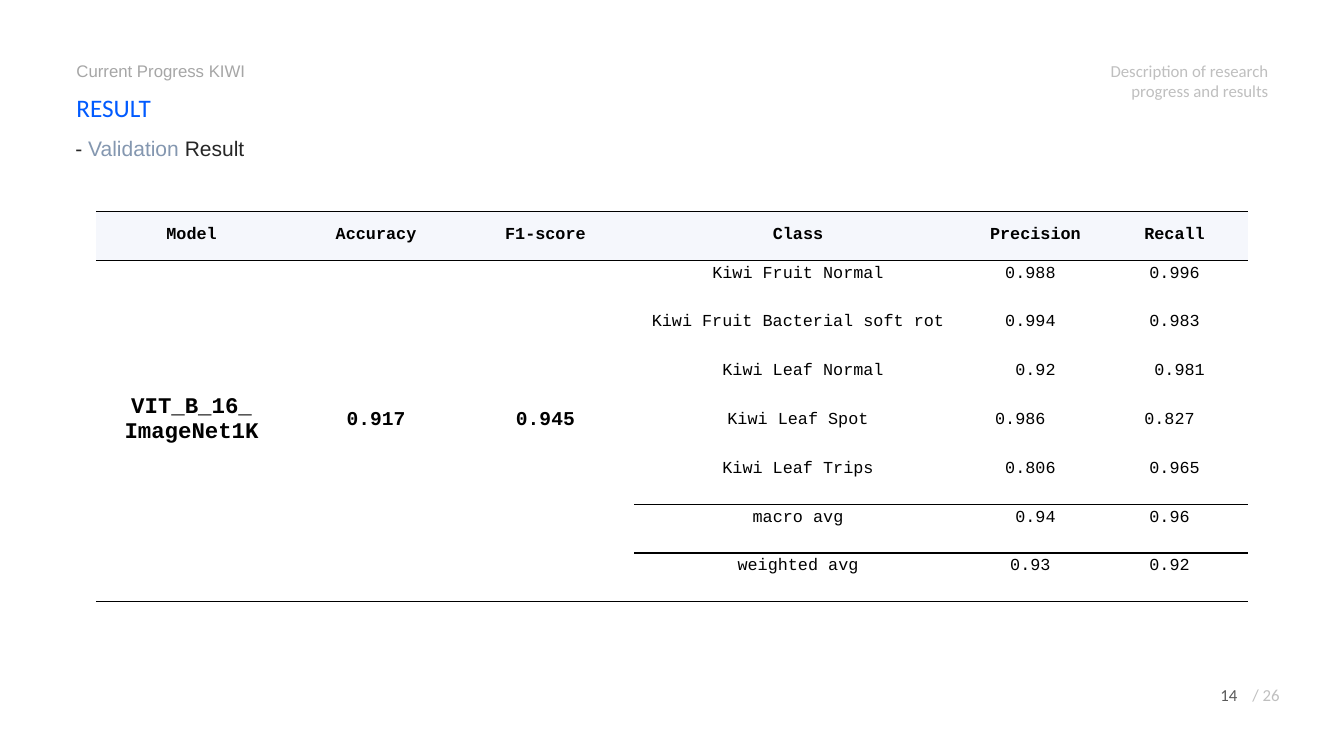
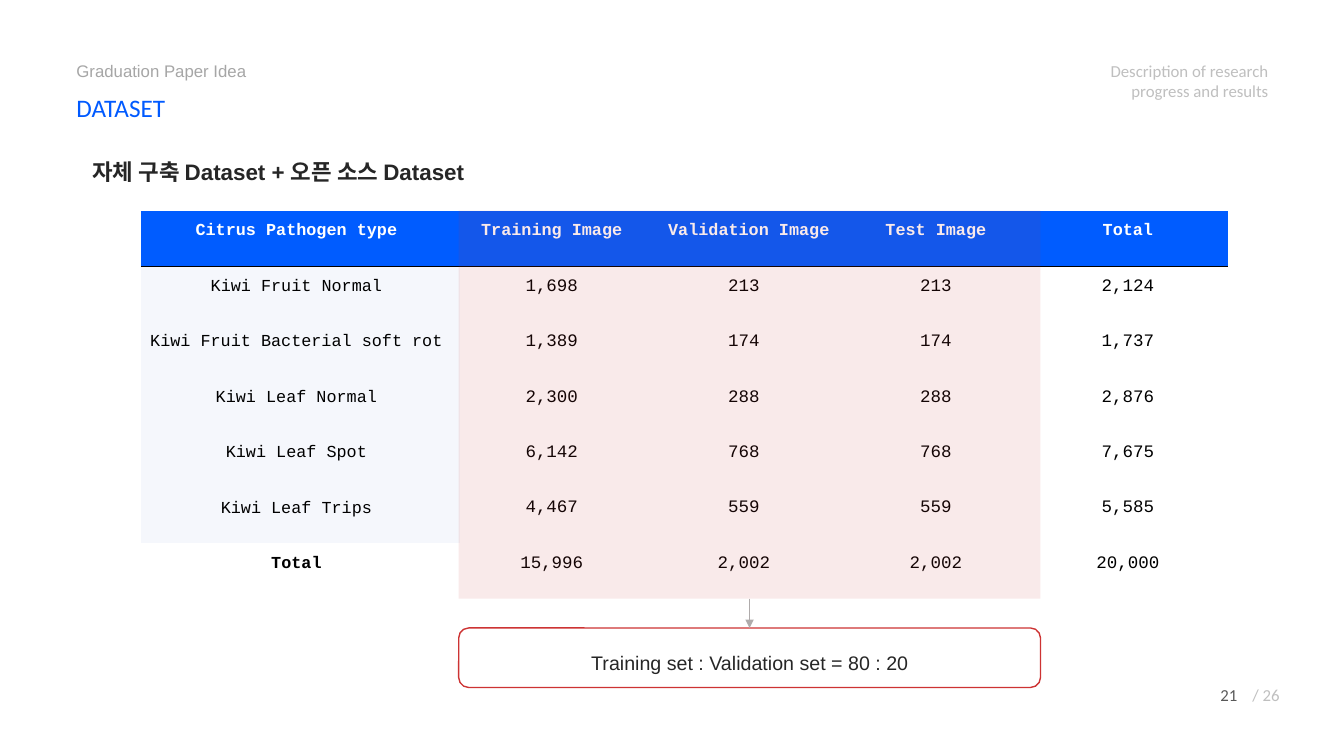
"""Build two slides on kiwi disease classification: validation results and dataset."""
from dataclasses import dataclass

from lxml import etree
from pptx import Presentation
from pptx import util as u
from pptx.dml.color import RGBColor
from pptx.enum import shapes, text
from pptx.oxml import ns

Inches, Pt = u.Inches, u.Pt
LEFT, CENTER, RIGHT = text.PP_ALIGN.LEFT, text.PP_ALIGN.CENTER, text.PP_ALIGN.RIGHT
TOP, MIDDLE, BOTTOM = text.MSO_ANCHOR.TOP, text.MSO_ANCHOR.MIDDLE, text.MSO_ANCHOR.BOTTOM


@dataclass(frozen=True)
class Theme:
    blue: str = "005AFF"
    header: str = "005CFF"
    pale: str = "F5F7FC"
    white: str = "FFFFFF"
    black: str = "000000"
    ink: str = "262626"
    accent: str = "8497B0"
    section: str = "A6A6A6"
    muted: str = "BFBFBF"
    page: str = "595959"
    red: str = "CD3333"
    arrow: str = "AFABAB"
    body_font: str = "Arial"
    title_font: str = "Calibri"
    table_font: str = "Courier New"
    small: float = 12
    number: float = 12.5
    metric: float = 14
    subtitle: float = 15
    large: float = 16
    title: float = 18


@dataclass
class CellStyle:
    size: float
    color: str
    bold: bool = False
    fill: str = ""
    anchor: object = BOTTOM
    insets: tuple = (0, 0.03, 0.08, 0.25)


T = Theme()
SECTION_LABEL = "Description of research progress and results"
PAGE_COUNT = 26


class Deck:
    def __init__(self):
        self.prs = Presentation()
        self.prs.slide_width, self.prs.slide_height = Inches(13.33), Inches(7.5)
        self.s = None

    def slide(self, section, title, page):
        self.s = self.prs.slides.add_slide(self.prs.slide_layouts[6])
        self.text((0.66, 0.87, 2.36, 0.4), title, T.title, T.blue, T.title_font)
        self.text((0.66, 0.55, 2.36, 0.3), section, T.small, T.section)
        for box, label, color in (
            ((10.32, 0.55, 2.36, 0.5), SECTION_LABEL, T.muted),
            ((11.68, 6.74, 0.69, 0.3), str(page), T.page),
            ((12.18, 6.74, 0.61, 0.3), f"/ {PAGE_COUNT}", T.muted),
        ):
            self.text(box, label, T.small, color, T.title_font, align=RIGHT)

    def font(self, r, name, size, color, bold=False):
        r.font.name, r.font.size, r.font.bold = name, Pt(size), bold
        r.font.color.rgb = RGBColor.from_string(color)

    def text(self, box, content, size, color, font=T.body_font, bold=False,
             align=LEFT, spacing=None):
        tf = self.s.shapes.add_textbox(*map(Inches, box)).text_frame
        tf.word_wrap = True
        tf.auto_size = text.MSO_AUTO_SIZE.SHAPE_TO_FIT_TEXT
        p = tf.paragraphs[0]
        p.alignment = align
        if spacing:
            p.line_spacing = Pt(spacing)
        parts = [(content, color)] if isinstance(content, str) else content
        for words, part_color in parts:
            r = p.add_run()
            r.text = words
            self.font(r, font, size, part_color, bold)

    def shape(self, kind, box, fill, line=None, alpha=None):
        sp = self.s.shapes.add_shape(kind, *map(Inches, box))
        sp.shadow.inherit = False
        sp.fill.solid()
        sp.fill.fore_color.rgb = RGBColor.from_string(fill)
        if alpha:
            color = sp.fill._xPr.find(".//" + ns.qn("a:srgbClr"))
            etree.SubElement(color, ns.qn("a:alpha")).set("val", str(alpha * 1000))
        if line:
            sp.line.color.rgb = RGBColor.from_string(line)
            sp.line.width = Pt(1)
        else:
            sp.line.fill.background()
        return sp

    def arrow_down(self, upper, lower):
        c = self.s.shapes.add_connector(shapes.MSO_CONNECTOR.STRAIGHT, 0, 0, 0, 0)
        c.begin_connect(upper, 2)
        c.end_connect(lower, 0)
        c.line.color.rgb = RGBColor.from_string(T.arrow)
        c.line.width = Pt(0.5)
        etree.SubElement(c.line._get_or_add_ln(), ns.qn("a:tailEnd")).set("type", "triangle")
        etree.SubElement(c._element.spPr, ns.qn("a:effectLst"))

    def borders(self, cell, edges):
        tcPr = cell._tc.get_or_add_tcPr()
        for i, edge in enumerate("LRTB"):
            ln = etree.Element(ns.qn(f"a:ln{edge}"), w=str(Pt(1)))
            if edge in edges:
                fill = etree.SubElement(ln, ns.qn("a:solidFill"))
                etree.SubElement(fill, ns.qn("a:srgbClr")).set("val", T.black)
            else:
                etree.SubElement(ln, ns.qn("a:noFill"))
            tcPr.insert(i, ln)

    def cell(self, cell, style):
        cell.vertical_anchor = style.anchor
        (cell.margin_left, cell.margin_top,
         cell.margin_right, cell.margin_bottom) = map(Inches, style.insets)
        if style.fill:
            cell.fill.solid()
            cell.fill.fore_color.rgb = RGBColor.from_string(style.fill)
        else:
            cell.fill.background()
        for p in cell.text_frame.paragraphs:
            p.alignment = CENTER
            for r in p.runs:
                self.font(r, T.table_font, style.size, style.color, style.bold)

    def table(self, at, widths, row_height, rows, style, rules, merged=0):
        size = (sum(widths), row_height * len(rows))
        frame = self.s.shapes.add_table(len(rows), len(widths), *map(Inches, at + size))
        table = frame.table
        table.first_row = table.horz_banding = False
        for column, width in zip(table.columns, widths):
            column.width = Inches(width)
        for c in range(merged):
            table.cell(1, c).merge(table.cell(len(rows) - 1, c))
        for i, row in enumerate(rows):
            table.rows[i].height = Inches(row_height)
            for j, value in enumerate(row):
                cell = table.cell(i, j)
                cell.text_frame.text = value
                self.cell(cell, style(i, j))
                bottom = i + (cell.span_height if cell.is_merge_origin else 1)
                lines = rules(j)
                self.borders(cell, "T" * (i in lines) + "B" * (bottom in lines))


def result_style(i, j):
    if i == 0:
        return CellStyle(T.small, T.black, True, T.pale, insets=(0, 0.08, 0.08, 0.16))
    size = (T.large, T.metric, T.metric, T.small, T.small, T.small)[j]
    style = CellStyle(size, T.black, j < 3, anchor=MIDDLE)
    nudge = {(4, 4): 0.2, (4, 5): 0.1}.get((i, j), 0)
    style.insets = (0, 0.03, 0.08 + nudge, 0.25)
    return style


def dataset_style(i, j):
    if i == 0:
        return CellStyle(T.small, T.white, True, T.header)
    if j:
        return CellStyle(T.number, T.black)
    total = i == 6
    return CellStyle(T.small, T.black, total, "" if total else T.pale)


def result_slide(deck):
    deck.slide("Current Progress KIWI", "RESULT", 14)
    parts = [("- ", T.ink), ("Validation", T.accent), (" Result", T.ink)]
    deck.text((0.65, 1.21, 3.83, 0.42), parts, T.subtitle, T.ink, spacing=24)
    scores = [
        ("Kiwi Fruit Normal", "0.988 ", "0.996"),
        ("Kiwi Fruit Bacterial soft rot", "0.994 ", " 0.983 "),
        (" Kiwi Leaf Normal", "0.92", " 0.981"),
        ("Kiwi Leaf Spot", "0.986 ", " 0.827 "),
        ("Kiwi Leaf Trips", "0.806 ", " 0.965 "),
        ("macro avg", "0.94", "0.96 "),
        ("weighted avg", "0.93 ", "0.92 "),
    ]
    model = ("VIT_B_16_\nImageNet1K", "0.917", "0.945")
    rows = [("Model", "Accuracy", "F1-score", "Class", "Precision", "Recall")]
    rows += [(model if i == 0 else ("",) * 3) + score for i, score in enumerate(scores)]
    deck.table((0.95, 2.1), (1.98, 1.68, 1.68, 3.33, 1.38, 1.38), 0.484, rows, result_style,
               lambda j: {0, 1, 8} if j < 3 else {0, 1, 6, 7, 8}, merged=3)


def dataset_slide(deck):
    deck.slide("Graduation Paper Idea", "DATASET", 21)
    deck.text((0.58, 1.48, 4.36, 0.38), "자체 구축 Dataset + 오픈 소스 Dataset",
              T.large, T.ink, bold=True, align=CENTER, spacing=22)
    rows = [
        ("Citrus Pathogen type", "Training Image", " Validation Image", "Test Image", "Total"),
        ("Kiwi Fruit Normal", "1,698", "213", "213", "2,124"),
        ("Kiwi Fruit Bacterial soft rot", "1,389", "174", "174", "1,737"),
        ("Kiwi Leaf Normal", "2,300", "288", "288", "2,876"),
        ("Kiwi Leaf Spot", "6,142", "768", "768", "7,675"),
        ("Kiwi Leaf Trips", "4,467", "559", "559", "5,585"),
        ("Total", "15,996", "2,002", "2,002", "20,000"),
    ]
    deck.table((1.4, 2.09), (3.16,) + (1.905,) * 4, 0.55, rows, dataset_style, lambda j: {1})
    kinds = shapes.MSO_SHAPE
    band = deck.shape(kinds.RECTANGLE, (4.55, 2.09, 5.77, 3.85), T.red, alpha=10)
    ratio = deck.shape(kinds.ROUNDED_RECTANGLE, (4.55, 6.23, 5.77, 0.59), T.white, T.red)
    deck.arrow_down(band, ratio)
    deck.text((4.62, 6.34, 5.69, 0.38), "Training set : Validation set = 80 : 20 ",
              T.metric, T.ink, align=CENTER, spacing=22)


def main():
    deck = Deck()
    result_slide(deck)
    dataset_slide(deck)
    deck.prs.save("out.pptx")


if __name__ == "__main__":
    main()
